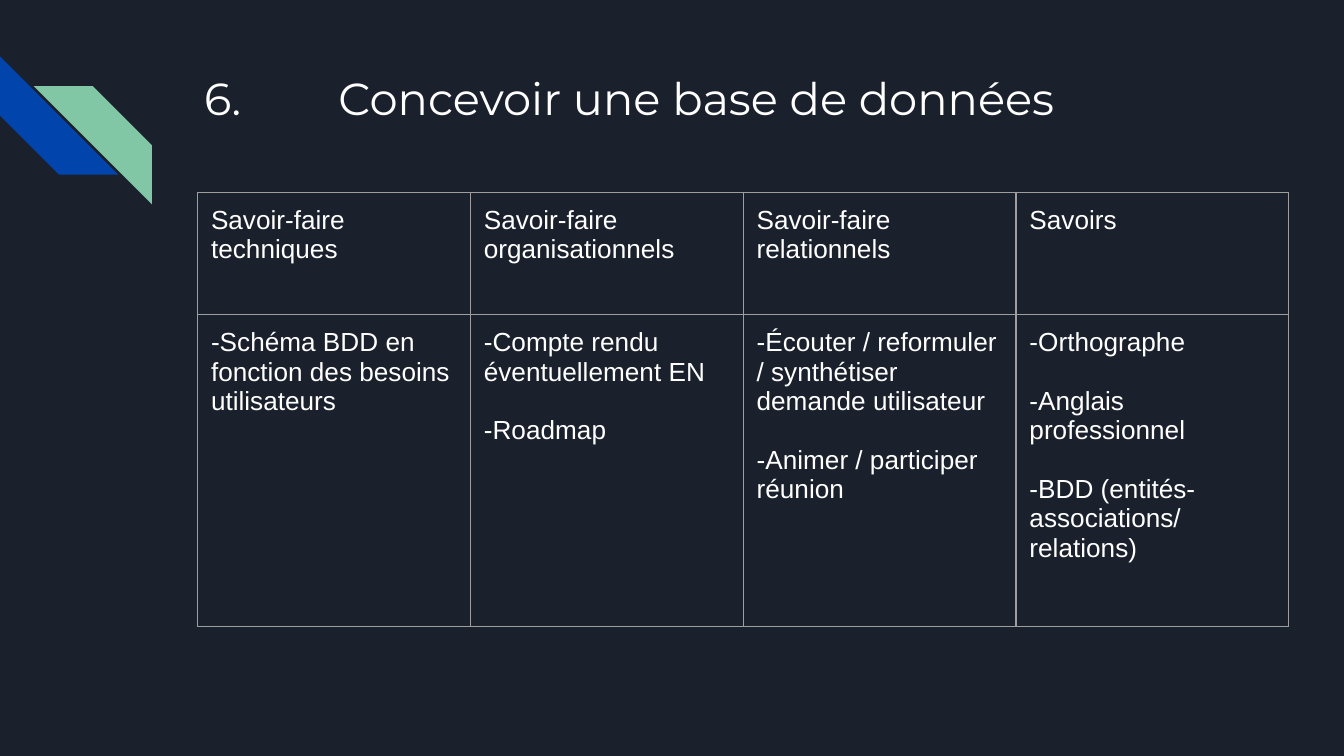
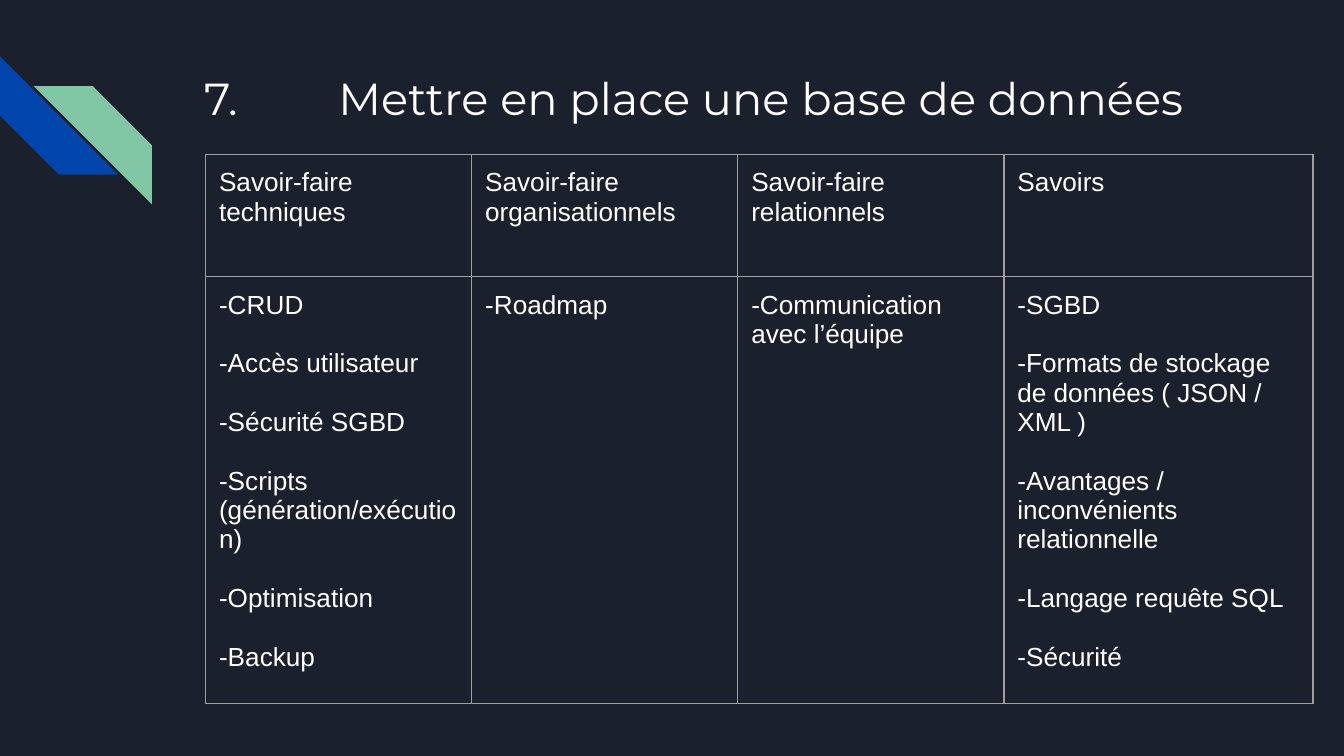
import pptx
import pptx.dml.color
import pptx.enum.shapes
import pptx.enum.text
import pptx.oxml
import pptx.oxml.ns
import pptx.util

WIDTH = 10
HEIGHT = WIDTH * 9 / 16
NAVY, BLUE, GREEN, WHITE, GREY = "1B212C", "0145AC", "82C7A5", "FFFFFF", "9E9E9E"
TITLE = {"name": "Montserrat", "size": pptx.util.Pt(24)}
BODY = {"name": "Arial", "size": pptx.util.Pt(14)}
INSET = 0.1
MARGINS = {f"margin_{side}": pptx.util.Inches(INSET)
           for side in ("left", "top", "right", "bottom")}
TITLE_TAB = 1
ITEM_GAP = 15.7
EMBLEM_BOX = (0, 0.42, 1.13, 1.1)
TITLE_BOX = (1.42, 0.43, 7.7, 1)
TABLE_SIDE = 3.28
ROWS = (0.91, 2.32)
HEADERS = ["Savoir-faire techniques", "Savoir-faire organisationnels",
           "Savoir-faire relationnels", "Savoirs"]
SKILL_SLIDES = [
    {"title": "6.\tConcevoir une base de données",
     "origin": (1.47, 1.43), "cols": (2.03, 2.03, 2.03, 2.03),
     "skills": [
         ["-Schéma BDD en fonction des besoins utilisateurs"],
         ["-Compte rendu éventuellement EN", "-Roadmap"],
         ["-Écouter / reformuler / synthétiser demande utilisateur",
          "-Animer / participer réunion"],
         ["-Orthographe", "-Anglais professionnel",
          "-BDD (entités-associations/ relations)"]]},
    {"title": "7.\tMettre en place une base de données",
     "origin": (1.53, 1.15), "cols": (1.98, 1.98, 1.98, 2.3),
     "skills": [
         ["-CRUD", "-Accès utilisateur", "-Sécurité SGBD",
          "-Scripts (génération/exécution)", "-Optimisation", "-Backup"],
         ["-Roadmap"],
         ["-Communication avec l’équipe"],
         ["-SGBD", "-Formats de stockage de données ( JSON / XML )",
          "-Avantages / inconvénients relationnelle",
          "-Langage requête SQL", "-Sécurité"]]},
]


def rgb(value):
    """Turn a hex string into a colour."""
    return pptx.dml.color.RGBColor.from_string(value)


def inches(*values):
    """Convert lengths in inches."""
    return [pptx.util.Inches(v) for v in values]


def set_attributes(target, values):
    """Set each named attribute of an object."""
    for name, value in values.items():
        setattr(target, name, value)


def write_text(tf, lines, font):
    """Write one paragraph per line, with a gap between paragraphs."""
    for i, line in enumerate(lines):
        p = tf.add_paragraph() if i else tf.paragraphs[0]
        if i:
            p.space_before = pptx.util.Pt(ITEM_GAP)
        r = p.add_run()
        r.text = line
        set_attributes(r.font, font)
        r.font.color.rgb = rgb(WHITE)


def add_stripe(slide, left, top, side, color):
    """Add one diagonal stripe in a square."""
    sp = slide.shapes.add_shape(pptx.enum.shapes.MSO_SHAPE.DIAGONAL_STRIPE,
                                *inches(left, top, side, side))
    sp.shadow.inherit = False
    sp.fill.solid()
    sp.fill.fore_color.rgb = rgb(color)
    sp.line.fill.background()
    return sp


def add_emblem(slide, box):
    """Place two stripes in opposite corners of the box."""
    left, top, width, height = box
    side = 0.8 * height
    add_stripe(slide, left, top, side, BLUE).rotation = 270
    sp = add_stripe(slide, left + width - side, top + height - side, side, GREEN)
    sp.element.spPr.get_or_add_xfrm().set("flipH", "1")


def add_title(slide, box, text):
    """Add the numbered title at the top of the box, with a tab after its number."""
    tf = slide.shapes.add_textbox(*inches(*box)).text_frame
    set_attributes(tf, {"word_wrap": True, **MARGINS,
                        "vertical_anchor": pptx.enum.text.MSO_ANCHOR.TOP})
    tf.paragraphs[0]._p.get_or_add_pPr().append(pptx.oxml.parse_xml(
        f'<a:tabLst {pptx.oxml.ns.nsdecls("a")}>'
        f'<a:tab pos="{pptx.util.Inches(TITLE_TAB)}" algn="l"/></a:tabLst>'))
    write_text(tf, [text], TITLE)


def add_borders(cell):
    """Draw a thin grey line on each side of a cell."""
    for side in "LRTB":
        cell._tc.get_or_add_tcPr().append(pptx.oxml.parse_xml(
            f'<a:ln{side} {pptx.oxml.ns.nsdecls("a")} w="{pptx.util.Pt(0.75)}">'
            f'<a:solidFill><a:srgbClr val="{GREY}"/></a:solidFill></a:ln{side}>'))


def add_skill_table(slide, origin, cols, skills):
    """Add the table of skills, with a header row above one row of lists."""
    content = [[[header] for header in HEADERS], skills]
    frame = slide.shapes.add_table(len(ROWS), len(cols),
                                   *inches(*origin, TABLE_SIDE, TABLE_SIDE))
    table = frame.table
    set_attributes(table, {"first_row": False, "horz_banding": False})
    for col, width in zip(table.columns, cols):
        col.width = pptx.util.Inches(width)
    for row, height, texts in zip(table.rows, ROWS, content):
        row.height = pptx.util.Inches(height)
        for cell, lines in zip(row.cells, texts):
            set_attributes(cell, MARGINS)
            add_borders(cell)
            cell.fill.background()
            write_text(cell.text_frame, lines, BODY)
    frame.width, frame.height = inches(TABLE_SIDE, TABLE_SIDE)


def add_skill_slide(prs, title, origin, cols, skills):
    """Build a slide with the emblem, a title and a table of skills."""
    slide = prs.slides.add_slide(prs.slide_layouts[6])
    slide.background.fill.solid()
    slide.background.fill.fore_color.rgb = rgb(NAVY)
    add_emblem(slide, EMBLEM_BOX)
    add_title(slide, TITLE_BOX, title)
    add_skill_table(slide, origin, cols, skills)


def main():
    """Build and save the presentation."""
    prs = pptx.Presentation()
    prs.slide_width, prs.slide_height = inches(WIDTH, HEIGHT)
    for content in SKILL_SLIDES:
        add_skill_slide(prs, **content)
    prs.save("out.pptx")


if __name__ == "__main__":
    main()
